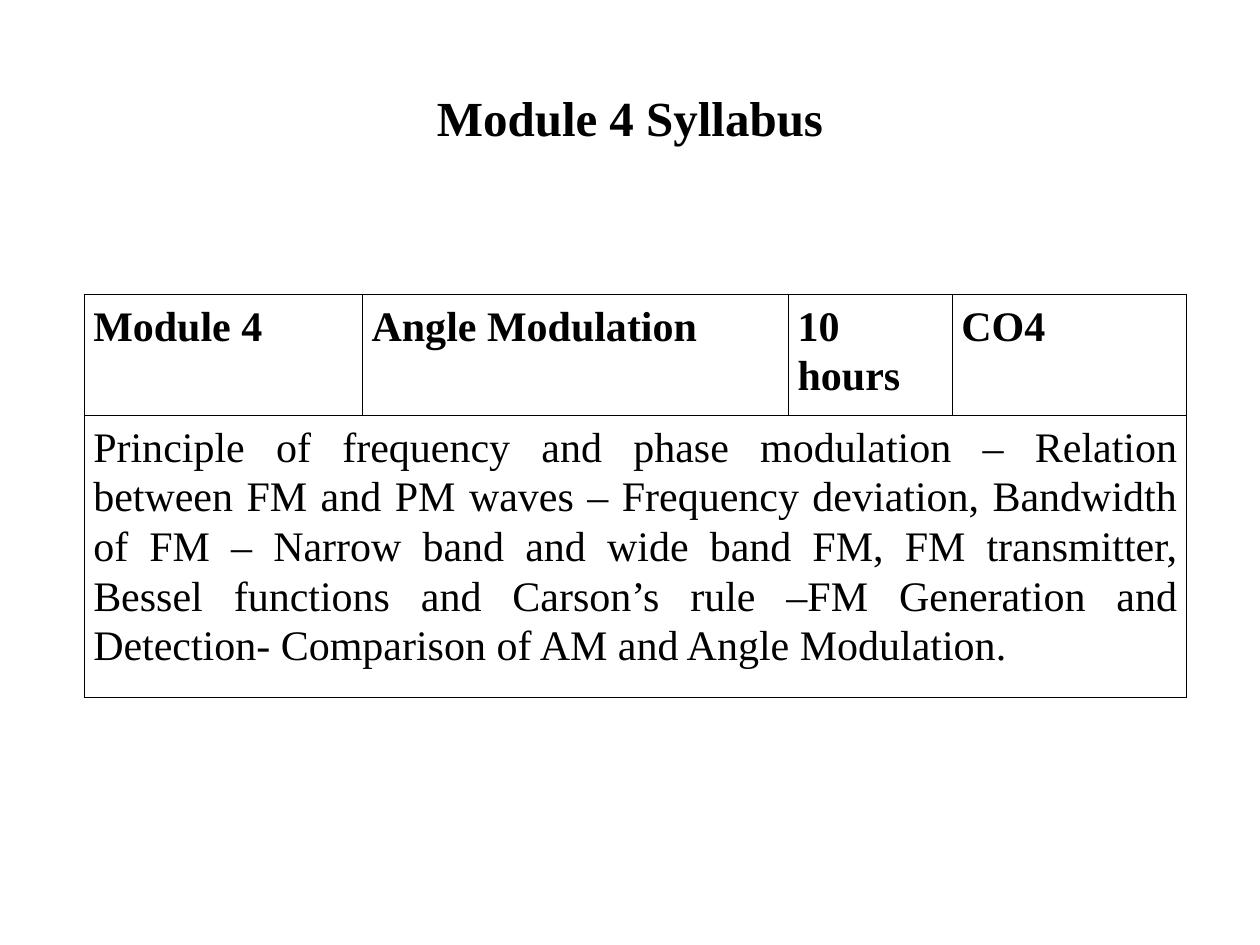
"""Build the Module 4 syllabus slide with its table."""
from lxml.etree import SubElement
from pptx import Presentation
from pptx.dml.color import RGBColor
from pptx.enum.text import MSO_ANCHOR as Anchor, PP_ALIGN as Align
from pptx.oxml.ns import qn
from pptx.util import Cm, Pt

BLACK = RGBColor(0, 0, 0)
FONT = "Times New Roman"
COLUMN_WIDTHS = [5.61, 8.59, 3.3, 4.72]
ROW_HEIGHTS = [2.18, 5.44]
HEADINGS = ["Module 4", "Angle Modulation", "10\nhours", "CO4"]
TOPICS = (
    "Principle of frequency and phase modulation – Relation between FM and PM waves – "
    "Frequency deviation, Bandwidth of FM – Narrow band and wide band FM, FM transmitter, "
    "Bessel functions and Carson’s rule –FM Generation and Detection- "
    "Comparison of AM and Angle Modulation."
)


def format_runs(paragraph, size, bold):
    for run in paragraph.runs:
        run.font.name = FONT
        run.font.size = Pt(size)
        run.font.bold = bold
        run.font.color.rgb = BLACK


def add_borders(cell):
    properties = cell._tc.get_or_add_tcPr()
    for side in ("L", "R", "T", "B"):
        line = SubElement(properties, qn(f"a:ln{side}"), w=str(Pt(0.45)))
        fill = SubElement(line, qn("a:solidFill"))
        SubElement(fill, qn("a:srgbClr"), val=str(BLACK))


presentation = Presentation()
presentation.slide_width = Cm(25.4)
presentation.slide_height = Cm(19.05)
slide = presentation.slides.add_slide(presentation.slide_layouts[6])

title = slide.shapes.add_textbox(Cm(1.27), Cm(0.76), Cm(22.86), Cm(3.18))
title.text_frame.word_wrap = True
title.text_frame.vertical_anchor = Anchor.MIDDLE
title.text_frame.text = "Module 4 Syllabus"
title.text_frame.paragraphs[0].alignment = Align.CENTER
format_runs(title.text_frame.paragraphs[0], 28, True)

table = slide.shapes.add_table(
    len(ROW_HEIGHTS), len(COLUMN_WIDTHS), Cm(1.7), Cm(5.93),
    Cm(sum(COLUMN_WIDTHS)), Cm(sum(ROW_HEIGHTS)),
).table
table.first_row = False
table.horz_banding = False
for column, width in zip(table.columns, COLUMN_WIDTHS):
    column.width = Cm(width)
for row, height in zip(table.rows, ROW_HEIGHTS):
    row.height = Cm(height)

for cell, heading in zip(table.rows[0].cells, HEADINGS):
    cell.text_frame.text = heading
topics_cell = table.cell(1, 0)
topics_cell.merge(table.cell(1, len(COLUMN_WIDTHS) - 1))
topics_cell.text_frame.text = TOPICS

for row_index, row in enumerate(table.rows):
    for cell in row.cells:
        add_borders(cell)
        cell.fill.background()
        cell.margin_left = cell.margin_right = Cm(0.18)
        cell.margin_top = cell.margin_bottom = Cm(0.13)
        for paragraph in cell.text_frame.paragraphs:
            paragraph.line_spacing = 1.07
            paragraph.alignment = Align.JUSTIFY if row_index else Align.LEFT
            format_runs(paragraph, 24, row_index == 0)

presentation.save("out.pptx")
